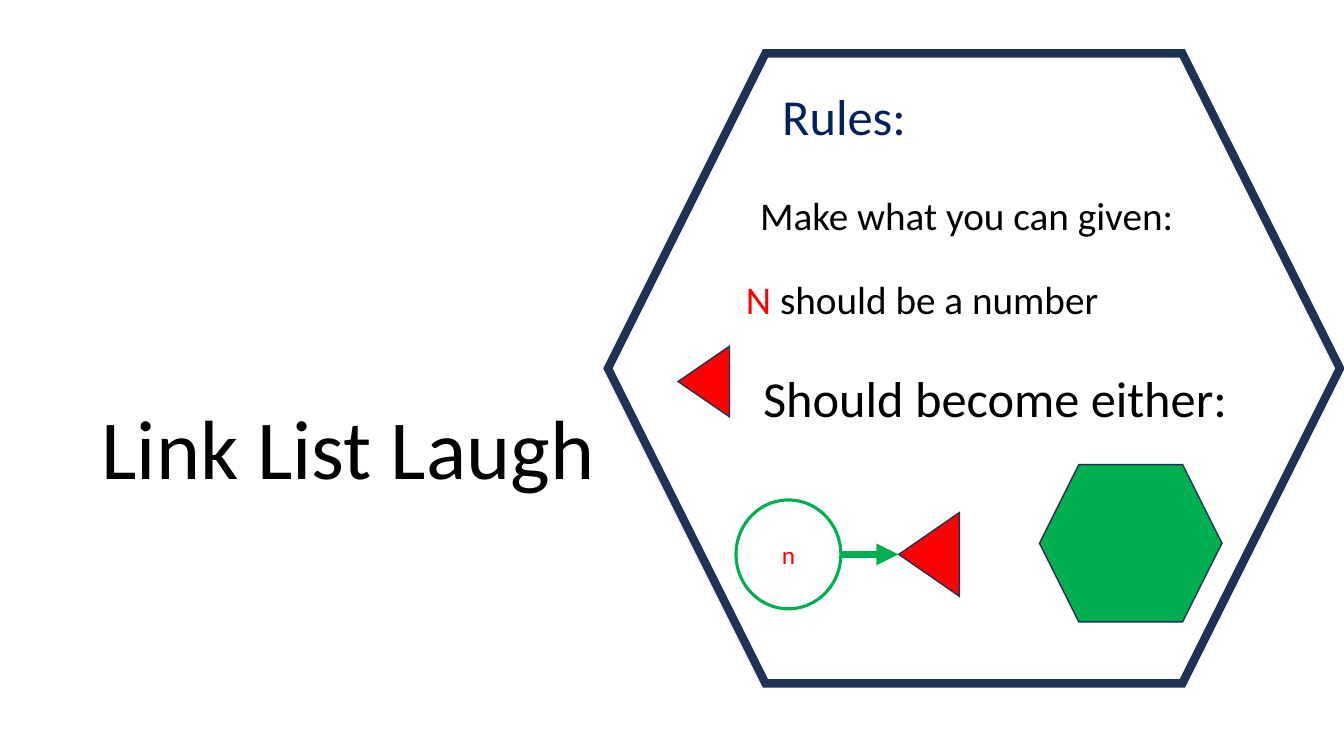
import pptx
import pptx.util
import pptx.dml.color
import pptx.enum.shapes
import pptx.enum.text
import pptx.oxml
import pptx.oxml.ns
from dataclasses import dataclass

PX = 9144
MSO_SHAPE = pptx.enum.shapes.MSO_SHAPE
ANCHOR = pptx.enum.text.MSO_ANCHOR


@dataclass(frozen=True)
class Theme:
    font: str = "Calibri"
    black: str = "000000"
    white: str = "FFFFFF"
    heading: str = "002060"
    outline: str = "1E3256"
    red: str = "FF0000"
    green: str = "00B050"
    title_size: int = 60
    large_size: int = 36
    body_size: int = 28
    node_size: int = 18


theme = Theme()
rgb = pptx.dml.color.RGBColor.from_string

presentation = pptx.Presentation()
presentation.slide_width = 1333 * PX
presentation.slide_height = 750 * PX
slide = presentation.slides.add_slide(presentation.slide_layouts[6])


def add_text(box, runs, size):
    text_box = slide.shapes.add_textbox(*[length * PX for length in box])
    frame = text_box.text_frame
    frame.word_wrap = True
    paragraph = frame.paragraphs[0]
    paragraph.font.name = theme.font
    paragraph.font.size = pptx.util.Pt(size)
    for text, color in runs:
        run = paragraph.add_run()
        run.text = text
        run.font.color.rgb = rgb(color)
    return frame


def add_figure(kind, box, fill, line, width, rotation=0):
    shape = slide.shapes.add_shape(kind, *[length * PX for length in box])
    shape.shadow.inherit = False
    shape.rotation = rotation
    if fill:
        shape.fill.solid()
        shape.fill.fore_color.rgb = rgb(fill)
    else:
        shape.fill.background()
    shape.line.color.rgb = rgb(line)
    shape.line.width = pptx.util.Pt(width)
    miter = pptx.oxml.parse_xml(f'<a:miter {pptx.oxml.ns.nsdecls("a")} lim="800000"/>')
    shape.line._get_or_add_ln().append(miter)
    return shape


title = add_text((91, 187, 1150, 312), [("Link List Laugh", theme.black)], theme.title_size)
title.vertical_anchor = ANCHOR.BOTTOM
title.paragraphs[0].line_spacing = 0.9

add_figure(MSO_SHAPE.HEXAGON, (603, 53, 726, 625), None, theme.outline, 6)

rules = [
    ((766, 79, 238, 71), [("Rules:", theme.heading)], theme.large_size),
    ((744, 185, 575, 57), [("Make what you can given:", theme.black)], theme.body_size),
    ((747, 359, 517, 71), [("Should become either:", theme.black)], theme.large_size),
    ((730, 268, 437, 57), [("N", theme.red), (" should be a number", theme.black)], theme.body_size),
]
for box, runs, size in rules:
    frame = add_text(box, runs, size)
    frame.auto_size = pptx.enum.text.MSO_AUTO_SIZE.SHAPE_TO_FIT_TEXT

node = add_figure(MSO_SHAPE.OVAL, (730, 496, 104, 108), theme.white, theme.green, 2.25)
node.text_frame.vertical_anchor = ANCHOR.MIDDLE
label = node.text_frame.paragraphs[0]
label.text = "n"
label.alignment = pptx.enum.text.PP_ALIGN.CENTER
label.font.name = theme.font
label.font.size = pptx.util.Pt(theme.node_size)
label.font.color.rgb = rgb(theme.red)

arrow = slide.shapes.add_connector(
    pptx.enum.shapes.MSO_CONNECTOR.STRAIGHT, 834 * PX, 550 * PX, 891 * PX, 550 * PX
)
arrow.line.color.rgb = rgb(theme.green)
arrow.line.width = pptx.util.Pt(5.25)
namespace = pptx.oxml.ns.nsdecls("a")
arrow.line._get_or_add_ln().append(pptx.oxml.parse_xml(f'<a:tailEnd {namespace} type="triangle"/>'))
arrow._element.spPr.append(pptx.oxml.parse_xml(f"<a:effectLst {namespace}/>"))

for box in [(663, 353, 70, 51), (880, 520, 83, 60)]:
    add_figure(MSO_SHAPE.ISOSCELES_TRIANGLE, box, theme.red, theme.outline, 1, 270)

add_figure(MSO_SHAPE.HEXAGON, (1031, 461, 181, 156), theme.green, theme.outline, 1)

presentation.save("out.pptx")
